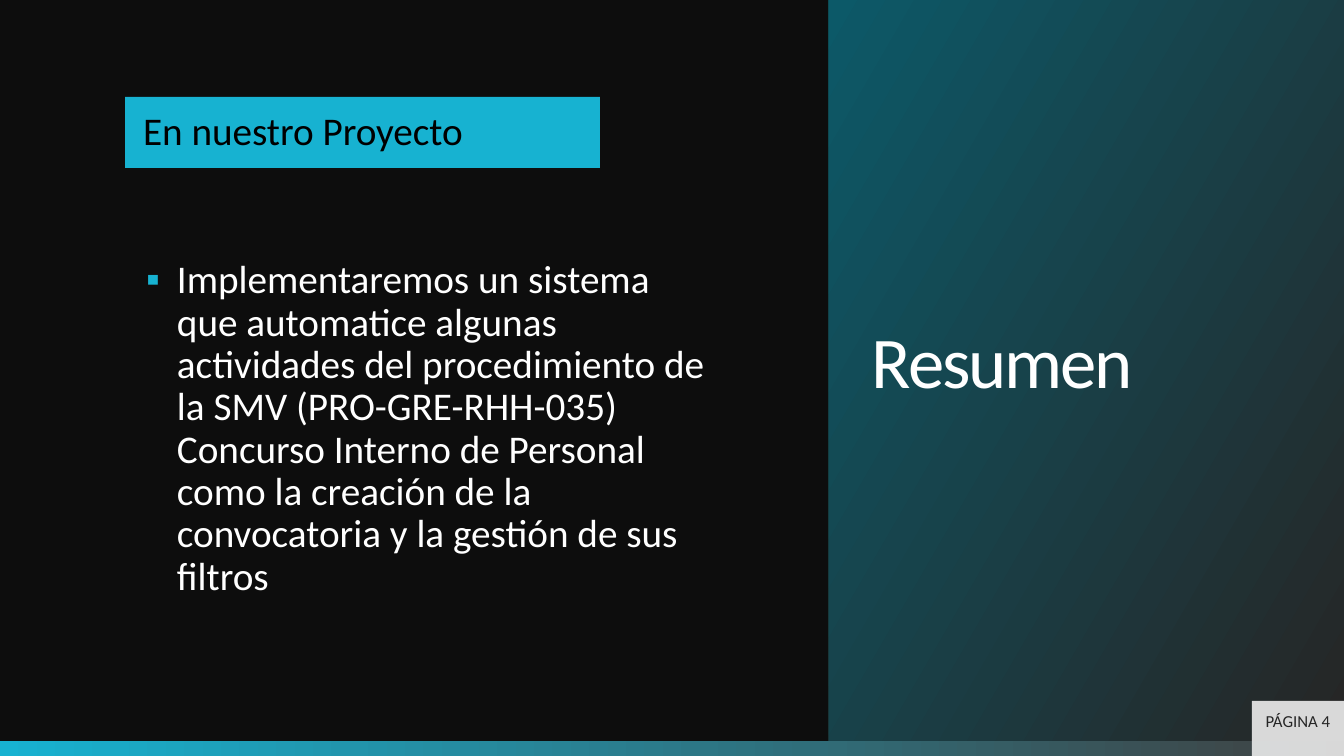
from lxml import etree
from pptx import Presentation
from pptx.dml.color import RGBColor
from pptx.enum.shapes import MSO_SHAPE
from pptx.enum.text import MSO_ANCHOR, MSO_AUTO_SIZE, PP_ALIGN
from pptx.oxml.ns import qn
from pptx.util import Emu, Pt

RECT = MSO_SHAPE.RECTANGLE
TOP, MID = MSO_ANCHOR.TOP, MSO_ANCHOR.MIDDLE
LEFT, MIDDLE = PP_ALIGN.LEFT, PP_ALIGN.CENTER
FIXED = MSO_AUTO_SIZE.NONE

TITLE = "Resumen"
HEAD = "En nuestro Proyecto"
BODY = (
    "Implementaremos un sistema que automatice algunas actividades del "
    "procedimiento de la SMV (PRO-GRE-RHH-035) Concurso Interno de Personal "
    "como la creación de la convocatoria y la gestión de sus filtros"
)
PAGE = "PÁGINA 4"

FONT = "Calibri"
HUES = {
    "back": "0D0D0D", "cyan": "17B2D1", "gray": "404040", "dark": "262626",
    "teal": "0C5968", "pale": "D9D9D9", "white": "FFFFFF", "black": "000000",
}

WIDE, HIGH = 1344, 756
BAR = 15
TAB_W, TAB_H = 92, 40
SIDE = 829
FLOOR = HIGH - BAR
TAB_X = WIDE - TAB_W
INDENT = 31


def px(n):
    return Emu(round(n * 914400 / 100.8))


def hue(name):
    return RGBColor.from_string(HUES[name])


def paint(shape, name):
    shape.fill.solid()
    shape.fill.fore_color.rgb = hue(name)


def blend(shape, stops, angle):
    shape.fill.gradient()
    shape.fill.gradient_angle = angle
    for stop, (spot, name) in zip(shape.fill.gradient_stops, stops):
        stop.position = spot
        stop.color.rgb = hue(name)


def place(shape, box):
    shape.left, shape.top, shape.width, shape.height = map(px, box)


def block(box):
    shape = slide.shapes.add_shape(RECT, *map(px, box))
    shape.shadow.inherit = False
    shape.line.fill.background()
    return shape


def write(shape, text, size, name, pads, anchor=MID, align=LEFT, gap=1.0):
    frame = shape.text_frame
    frame.word_wrap = True
    frame.auto_size = FIXED
    frame.vertical_anchor = anchor
    (frame.margin_left, frame.margin_top,
     frame.margin_right, frame.margin_bottom) = map(px, pads)
    frame.text = text
    para = frame.paragraphs[0]
    para.alignment = align
    para.line_spacing = gap
    para.space_before = Pt(0)
    props = para._p.get_or_add_pPr()
    if shape == body:
        props.set("marL", str(px(INDENT)))
        props.set("indent", str(-px(INDENT)))
        color = etree.SubElement(props, qn("a:buClr"))
        etree.SubElement(color, qn("a:srgbClr"), val=HUES["cyan"])
        etree.SubElement(props, qn("a:buFont"), typeface="Arial")
        etree.SubElement(props, qn("a:buChar"), char="▪")
    para.font.name = FONT
    para.font.size = Pt(size)
    para.font.color.rgb = hue(name)
    return props.find(qn("a:defRPr"))


deck = Presentation()
deck.slide_width, deck.slide_height = px(WIDE), px(HIGH)
slide = deck.slides.add_slide(deck.slide_layouts[1])
paint(slide.background, "back")
title, body = slide.placeholders

place(title, (SIDE, 0, WIDE - SIDE, FLOOR))
blend(title, [(0.01, "dark"), (1, "teal")], 150)
write(title, TITLE, 52, "white", (43, 5, 43, 5), gap=0.7).set("spc", "-150")

place(body, (93, 111, 678, 519))
write(body, BODY, 28, "white", (53, 149, 60, 22), anchor=TOP, gap=0.9)

strip = block((0, FLOOR, WIDE, BAR))
blend(strip, [(0, "cyan"), (1, "gray")], 0)

foot = block((TAB_X, FLOOR, TAB_W, BAR))
paint(foot, "white")
tint = next(foot._element.iter(qn("a:srgbClr")))
etree.SubElement(tint, qn("a:alpha"), val="80000")

head = block((125, 97, 475, 71))
paint(head, "cyan")
write(head, HEAD, 28, "black", (18, 0, 18, 0), gap=0.9)

page = block((TAB_X, FLOOR - TAB_H, TAB_W, TAB_H))
paint(page, "pale")
write(page, PAGE, 12, "dark", (0, 5, 0, 5), align=MIDDLE)

deck.save("out.pptx")
